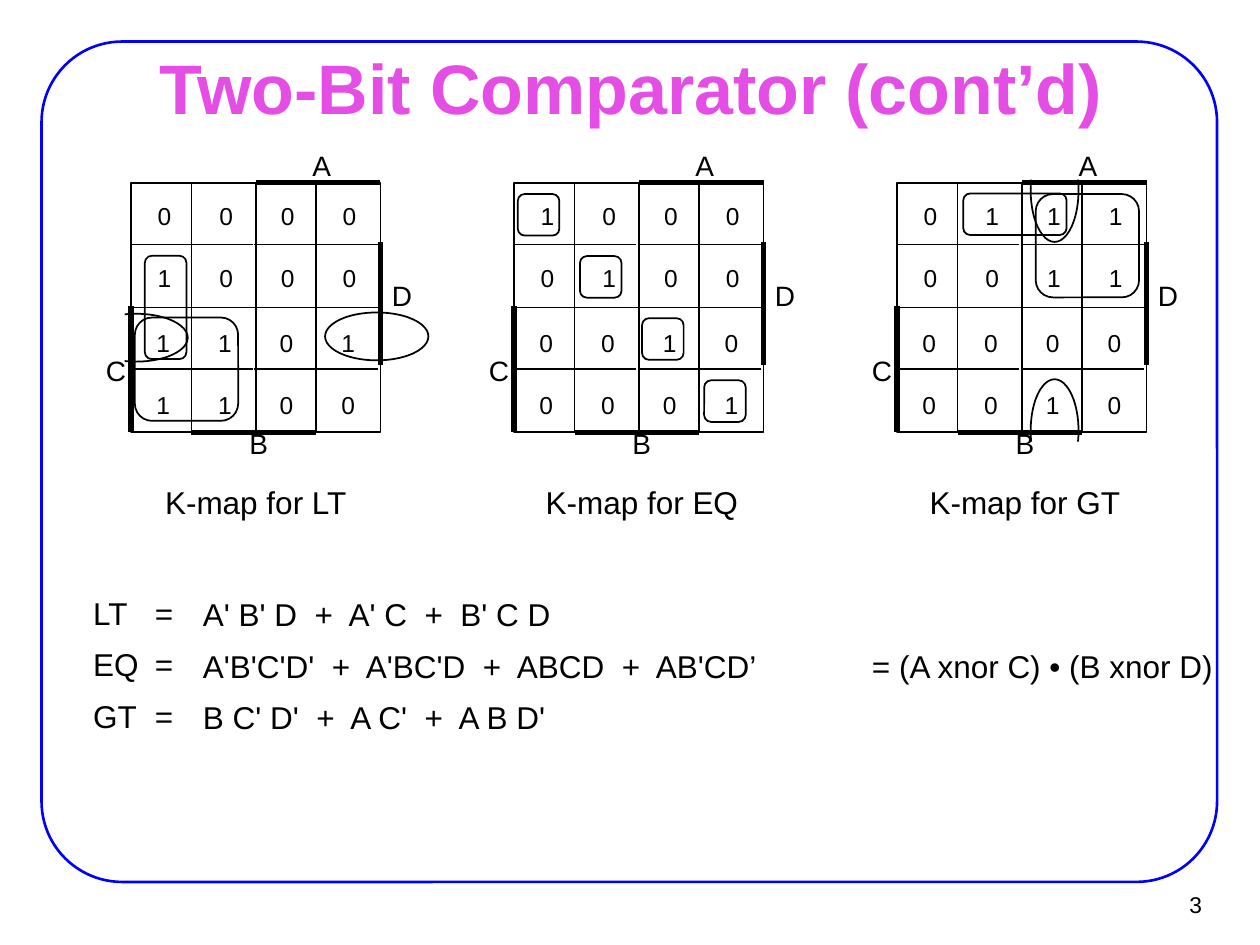
"""Build the two-bit comparator slide with its three Karnaugh maps."""
from lxml.etree import SubElement
from pptx import Presentation
from pptx.dml.color import RGBColor
from pptx.enum.shapes import MSO_CONNECTOR as CONN, MSO_SHAPE as SHAPE
from pptx.enum.text import MSO_ANCHOR as ANCHOR, PP_ALIGN as ALIGN
from pptx.oxml.ns import qn
from pptx.util import Inches, Pt


def color(value):
    return RGBColor.from_string(value)


def add_text(s, text, x, y, w, h, size=18, fill="000000", bold=False, align=ALIGN.LEFT,
             anchor=ANCHOR.TOP, spacing=None, before=0, tab=None):
    tf = s.shapes.add_textbox(Inches(x), Inches(y), Inches(w), Inches(h)).text_frame
    tf.word_wrap = True
    tf.vertical_anchor = anchor
    tf.margin_left = tf.margin_right = Inches(0.02)
    tf.margin_top = tf.margin_bottom = Inches(0.03)
    for i, line in enumerate(text.split("\n")):
        p = tf.add_paragraph() if i else tf.paragraphs[0]
        p.alignment = align
        if spacing:
            p.line_spacing = Pt(spacing)
        if i and before:
            p.space_before = Pt(before)
        if tab:
            tabs = SubElement(p._p.get_or_add_pPr(), qn("a:tabLst"))
            SubElement(tabs, qn("a:tab"), pos=str(Inches(tab)), algn="l")
        r = p.add_run()
        r.text = line
        r.font.name = "Arial"
        r.font.size = Pt(size)
        r.font.bold = bold
        r.font.color.rgb = color(fill)


prs = Presentation()
prs.slide_width, prs.slide_height = Inches(10), Inches(7.5)
s = prs.slides.add_slide(prs.slide_layouts[6])

frame = s.shapes.add_shape(SHAPE.ROUNDED_RECTANGLE, Inches(0.33), Inches(0.33),
                           Inches(9.33), Inches(6.67))
frame.adjustments[0] = 0.096
frame.fill.background()
frame.line.color.rgb = color("0000FF")
frame.line.width = Pt(1.5)
frame.shadow.inherit = False

OVAL, MASK, LOOP = SHAPE.OVAL, SHAPE.RECTANGLE, SHAPE.ROUNDED_RECTANGLE
groupings = [
    (OVAL, 2.58, 2.48, 0.82, 0.38, 0),
    (OVAL, 0.67, 2.49, 0.82, 0.38, 0),
    (MASK, 0.49, 2.45, 0.5, 0.45, 0),
    (LOOP, 1.07, 2.52, 0.82, 0.82, 0),
    (LOOP, 1.15, 2.03, 0.33, 0.82, 0),
    (OVAL, 7.96, 1.32, 0.82, 0.38, 270),
    (MASK, 8.11, 0.95, 0.5, 0.45, 270),
    (OVAL, 7.96, 3.23, 0.82, 0.38, 270),
    (MASK, 8.12, 3.53, 0.5, 0.45, 270),
    (LOOP, 8.22, 1.54, 0.82, 0.82, 0),
    (LOOP, 7.89, 1.29, 0.33, 0.82, 270),
]
groupings += [(LOOP, 4.11 + 0.493 * i, 1.54 + 0.493 * i, 0.33, 0.33, 0) for i in range(4)]
for kind, x, y, w, h, rotation in groupings:
    sp = s.shapes.add_shape(kind, Inches(x), Inches(y), Inches(w), Inches(h))
    sp.rotation = rotation
    sp.shadow.inherit = False
    if kind == MASK:
        sp.fill.solid()
        sp.fill.fore_color.rgb = color("FFFFFF")
        sp.line.fill.background()
    else:
        sp.fill.background()
        sp.line.color.rgb = color("000000")
        sp.line.width = Pt(1)

add_text(s, "Two-Bit Comparator (cont’d)", 0.76, 0.44, 8.5, 0.49, size=40, fill="E44EE4",
         bold=True, align=ALIGN.CENTER, anchor=ANCHOR.MIDDLE)

maps = [
    ("LT", 1.07, 1.92, ["0000", "1000", "1101", "1100"]),
    ("EQ", 4.11, 1.97, ["1000", "0100", "0010", "0001"]),
    ("GT", 7.15, 1.97, ["0111", "0011", "0000", "0010"]),
]
top, half = 1.45, 0.99
for i, (name, caption_x, caption_w, rows) in enumerate(maps):
    left = 1.04 + 3.04 * i
    lines = [
        (left + half, top, left + 2 * half, top, 3),
        (left + 2 * half, 1.92, left + 2 * half, 2.9, 3),
        (left + 0.48, 3.43, left + 1.47, 3.43, 3),
        (left, 2.43, left, 3.43, 3),
    ]
    for row in range(2):
        for col in range(2):
            x, y = left + half * col, top + half * row
            sp = s.shapes.add_shape(SHAPE.RECTANGLE, Inches(x), Inches(y),
                                    Inches(half), Inches(half))
            sp.fill.background()
            sp.line.color.rgb = color("000000")
            sp.line.width = Pt(1)
            sp.shadow.inherit = False
            lines += [(x + 0.48, y, x + 0.48, y + half, 1),
                      (x - 0.01, y + 0.49, x + 0.97, y + 0.49, 1)]
            digits = "\n".join("\t".join(values[2 * col:2 * col + 2])
                               for values in rows[2 * row:2 * row + 2])
            add_text(s, digits, left + 0.19 + 0.98 * col - 0.01 * row, 1.55 + 1.01 * row,
                     0.89, 0.88, size=14, spacing=17.8, before=17.8, tab=0.49)
    for x1, y1, x2, y2, width in lines:
        c = s.shapes.add_connector(CONN.STRAIGHT, Inches(x1), Inches(y1),
                                   Inches(x2), Inches(y2))
        c.line.color.rgb = color("000000")
        c.line.width = Pt(width)
        SubElement(c._element.spPr, qn("a:effectLst"))
    for label, dx, y in [("A", 1.42, 1.2), ("B", 0.92, 3.4), ("D", 2.05, 2.23)]:
        add_text(s, label, left + dx, y, 0.63, 0.36, size=16, spacing=15.8)
    add_text(s, "C", left - 0.22, 2.78, 0.36, 0.36, size=16)
    add_text(s, f"K-map for {name}", caption_x, 3.8, caption_w, 0.71,
             align=ALIGN.CENTER, spacing=21.8)

add_text(s, "LT\t=\nEQ\t=\nGT\t=", 0.72, 4.57, 0.96, 1.37, spacing=29.6, tab=0.49)
formulas = [
    ("A' B' D  +  A' C  +  B' C D", 1.59, 4.58, 5.32),
    ("A'B'C'D'  +  A'BC'D  +  ABCD  +  AB'CD’", 1.59, 4.99, 5.32),
    ("= (A xnor C) • (B xnor D)", 6.9, 4.99, 2.85),
    ("B C' D'  +  A C'  +  A B D'", 1.59, 5.4, 5.32),
]
for text, x, y, w in formulas:
    add_text(s, text, x, y, w, 0.49, spacing=29.6)

add_text(s, "3", 9.02, 6.99, 0.54, 0.37, size=13, align=ALIGN.RIGHT, anchor=ANCHOR.MIDDLE)

prs.save("out.pptx")
